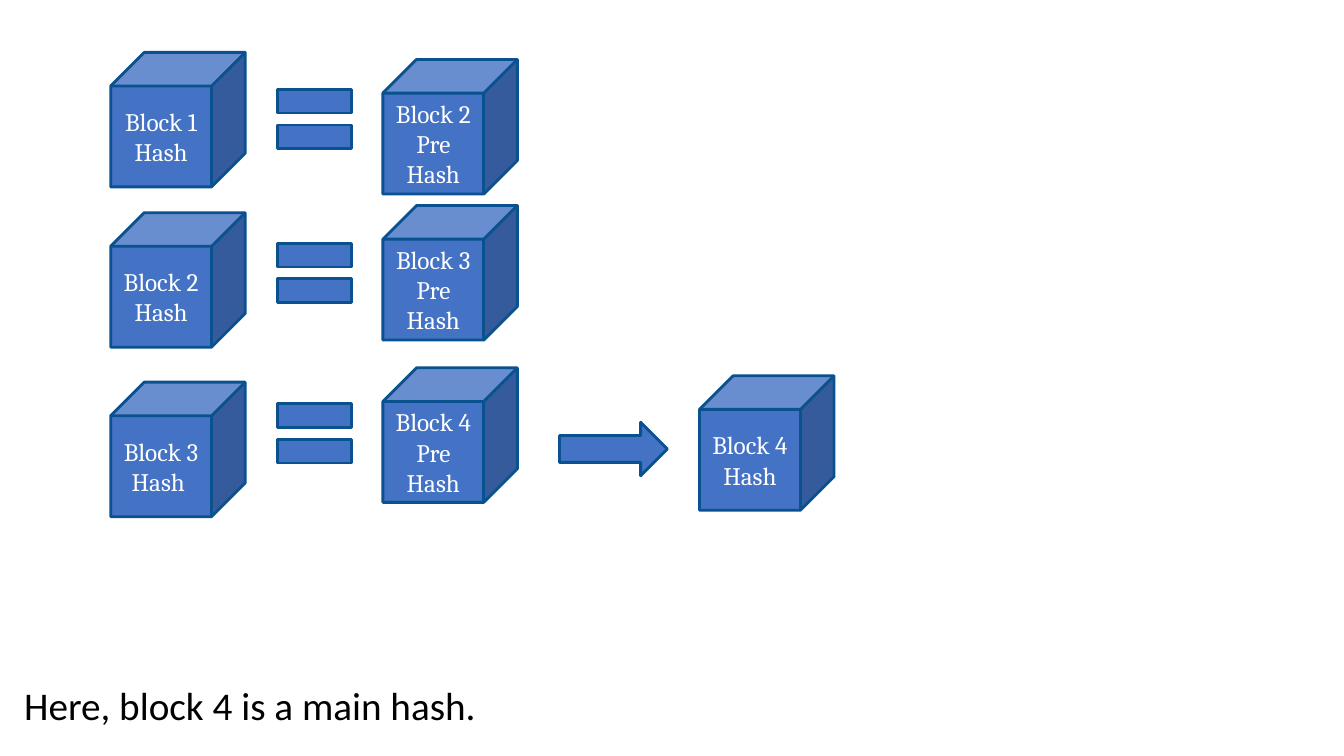
from dataclasses import dataclass

from pptx import Presentation
from pptx import util as u
from pptx.dml import color as c
from pptx.enum import shapes as s, text as t


@dataclass(frozen=True)
class Theme:
    fill: c.RGBColor = c.RGBColor(0x44, 0x72, 0xC4)
    edge: c.RGBColor = c.RGBColor(0x0A, 0x51, 0x90)
    light: c.RGBColor = c.RGBColor(0xFF, 0xFF, 0xFF)
    dark: c.RGBColor = c.RGBColor(0, 0, 0)
    line: float = 2
    label: int = 18
    note: int = 28
    serif: str = "Cambria"
    sans: str = "Calibri"


THEME = Theme()
KIND = s.MSO_SHAPE
CUBE = 3.39   # cube side, cm
SIGN = 2.54   # equals sign side, cm
LEFT = 2.79   # left edge of the chain, cm

# Row top, block number, end of its hash line, drops of the sign and the next cube
ROWS = [
    (1.32, 1, "Hash", 0.41, 0.18),
    (5.36, 2, "Hash", 0.25, -0.18),
    (9.63, 3, "Hash ", 0.02, -0.36),
]


def write(par, words, size, font, tint):
    run = par.add_run()
    run.text = words
    run.font.size = u.Pt(size)
    run.font.name = font
    run.font.color.rgb = tint


def draw(slide, kind, x, y, w, h):
    shape = slide.shapes.add_shape(kind, u.Cm(x), u.Cm(y), u.Cm(w), u.Cm(h))
    shape.shadow.inherit = False
    shape.fill.solid()
    shape.fill.fore_color.rgb = THEME.fill
    shape.line.color.rgb = THEME.edge
    shape.line.width = u.Pt(THEME.line)
    return shape


def cube(slide, x, y, lines):
    frame = draw(slide, KIND.CUBE, x, y, CUBE, CUBE).text_frame
    frame.word_wrap = True
    frame.vertical_anchor = t.MSO_ANCHOR.MIDDLE
    for i, words in enumerate(lines):
        par = frame.add_paragraph() if i else frame.paragraphs[0]
        par.alignment = t.PP_ALIGN.CENTER
        write(par, words, THEME.label, THEME.serif, THEME.light)


# One match: a block's hash equals the next block's pre hash
def match(slide, x, y, num, tail, sign, drop):
    cube(slide, x, y, (f"Block {num}", tail))
    draw(slide, KIND.MATH_EQUAL, x + 3.86, y + sign, SIGN, SIGN)
    cube(slide, x + 6.86, y + drop, (f"Block {num + 1}", "Pre Hash"))


# The arrow and the main hash it leads to
def result(slide, x, y):
    draw(slide, KIND.RIGHT_ARROW, x, y + 1.17, 2.72, 1.35)
    cube(slide, x + 3.53, y, ("Block 4", "Hash"))


# The sentence along the bottom
def note(slide, x, y, w, h):
    frame = slide.shapes.add_textbox(u.Cm(x), u.Cm(y), u.Cm(w), u.Cm(h)).text_frame
    frame.word_wrap = True
    par = frame.paragraphs[0]
    par.line_spacing = 0.9
    write(par, "Here, block 4 is a main hash.", THEME.note, THEME.sans, THEME.dark)


def main():
    deck = Presentation()
    deck.slide_width, deck.slide_height = u.Cm(33.87), u.Cm(19.05)
    slide = deck.slides.add_slide(deck.slide_layouts[6])
    note(slide, 0.36, 17.17, 32.94, 1.88)
    for top, *parts in ROWS:
        match(slide, LEFT, top, *parts)
    result(slide, 14.1, 9.47)
    deck.save("out.pptx")


if __name__ == "__main__":
    main()
